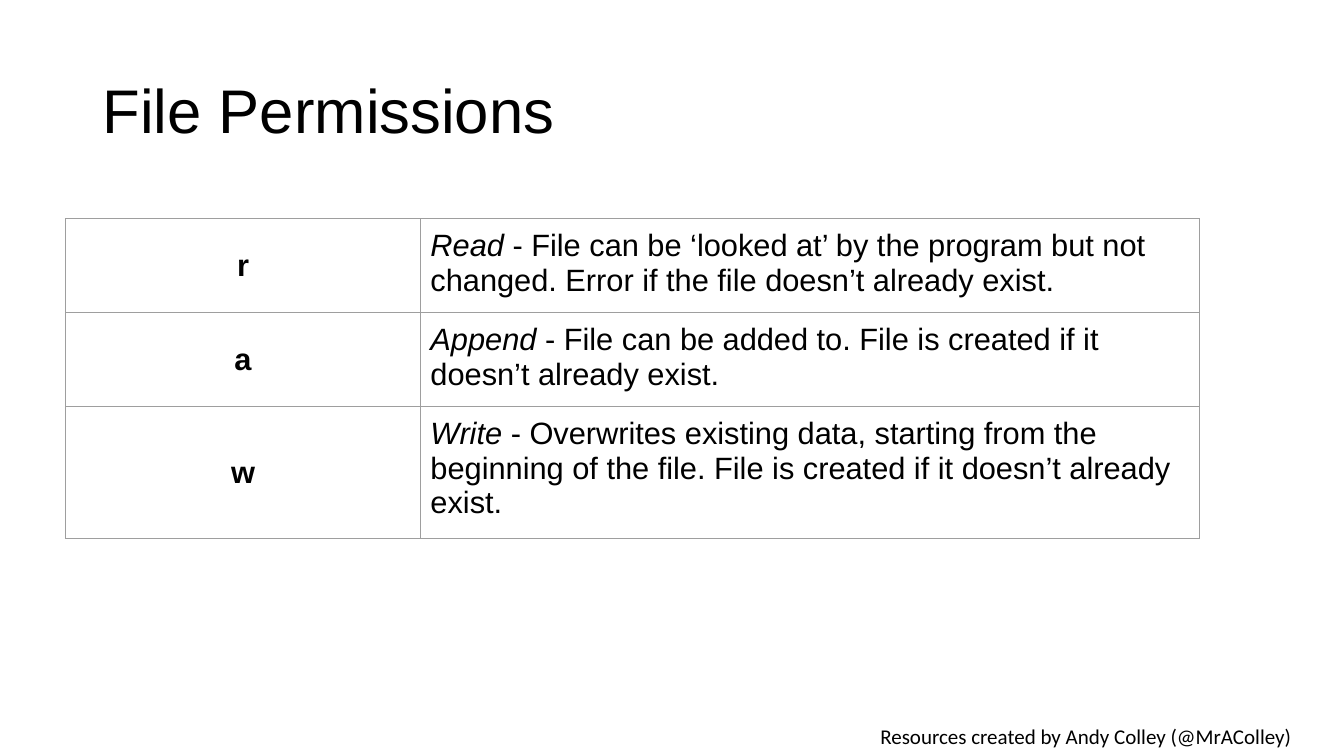
from lxml.etree import SubElement
from pptx import Presentation
from pptx.dml.color import RGBColor
from pptx.enum.text import MSO_ANCHOR, PP_ALIGN
from pptx.oxml.ns import qn
from pptx.util import Inches, Pt

TITLE = "File Permissions"
CREDIT = "Resources created by Andy Colley (@MrAColley)"
PERMISSIONS = [
    ("r", "Read", " - File can be ‘looked at’ by the program but not changed. "
                  "Error if the file doesn’t already exist."),
    ("a", "Append", " - File can be added to. File is created if it doesn’t already exist."),
    ("w", "Write", " - Overwrites existing data, starting from the beginning of the file. "
                   "File is created if it doesn’t already exist."),
]
COLUMN_WIDTHS = (3.52, 7.73)
ROW_HEIGHTS = (0.88, 0.88, 1.22)

BLACK = RGBColor(0x00, 0x00, 0x00)
BORDER_GREY = RGBColor(0x9E, 0x9E, 0x9E)
BORDER_WIDTH = Pt(0.75)


def style_run(span, size, font="Arial", bold=False, italic=False):
    span.font.size = Pt(size)
    span.font.name = font
    span.font.bold = bold
    span.font.italic = italic
    span.font.color.rgb = BLACK


def add_text(page, text, place, size, font, margin, align):
    """Add a one-paragraph text box, anchored in the middle."""
    box = page.shapes.add_textbox(*[Inches(length) for length in place])
    frame = box.text_frame
    frame.word_wrap = True
    frame.vertical_anchor = MSO_ANCHOR.MIDDLE
    frame.margin_left = frame.margin_right = Inches(0.1)
    frame.margin_top = frame.margin_bottom = Inches(margin)
    frame.text = text
    para = frame.paragraphs[0]
    para.alignment = align
    style_run(para.runs[0], size, font)
    return para


def format_cell(cell):
    """Set margins, no fill and a thin grey line on every side."""
    cell.margin_left = cell.margin_right = Inches(0.1)
    cell.margin_top = cell.margin_bottom = Inches(0.1)
    properties = cell._tc.get_or_add_tcPr()
    for side in ("a:lnL", "a:lnR", "a:lnT", "a:lnB"):
        line = SubElement(properties, qn(side), w=str(BORDER_WIDTH))
        fill = SubElement(line, qn("a:solidFill"))
        SubElement(fill, qn("a:srgbClr"), val=str(BORDER_GREY))
    cell.fill.background()


def add_permission_table(page):
    frame = page.shapes.add_table(
        len(PERMISSIONS), len(COLUMN_WIDTHS), Inches(0.65), Inches(2.17),
        Inches(sum(COLUMN_WIDTHS)), Inches(sum(ROW_HEIGHTS)))
    table = frame.table
    table.first_row = table.horz_banding = False
    for column, width in zip(table.columns, COLUMN_WIDTHS):
        column.width = Inches(width)
    for row, height, (mode, name, meaning) in zip(table.rows, ROW_HEIGHTS, PERMISSIONS):
        row.height = Inches(height)
        mode_cell, meaning_cell = row.cells
        format_cell(mode_cell)
        format_cell(meaning_cell)

        mode_cell.vertical_anchor = MSO_ANCHOR.MIDDLE
        mode_cell.text_frame.text = mode
        para = mode_cell.text_frame.paragraphs[0]
        para.alignment = PP_ALIGN.CENTER
        style_run(para.runs[0], 22, bold=True)

        para = meaning_cell.text_frame.paragraphs[0]
        for text, italic in ((name, True), (meaning, False)):
            span = para.add_run()
            span.text = text
            style_run(span, 22, italic=italic)


def main():
    deck = Presentation()
    deck.slide_width, deck.slide_height = Inches(13.33), Inches(7.5)
    page = deck.slides.add_slide(deck.slide_layouts[6])
    add_text(page, CREDIT, (8.21, 7.1, 5.12, 0.4), 15, "Calibri", 0.1, PP_ALIGN.CENTER)
    title = add_text(page, TITLE, (0.92, 0.4, 11.5, 1.45), 44, "Arial", 0.05, PP_ALIGN.LEFT)
    title.line_spacing = 0.9
    add_permission_table(page)
    deck.save("out.pptx")


if __name__ == "__main__":
    main()
